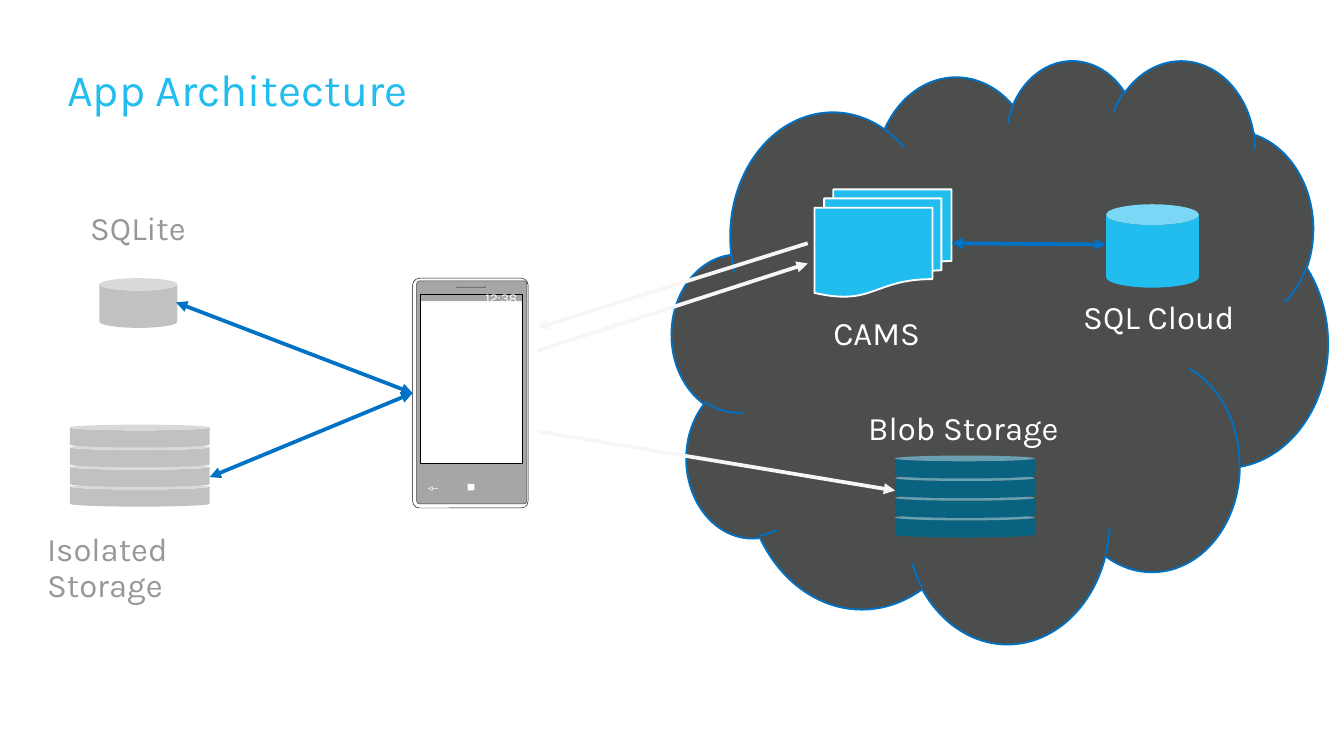
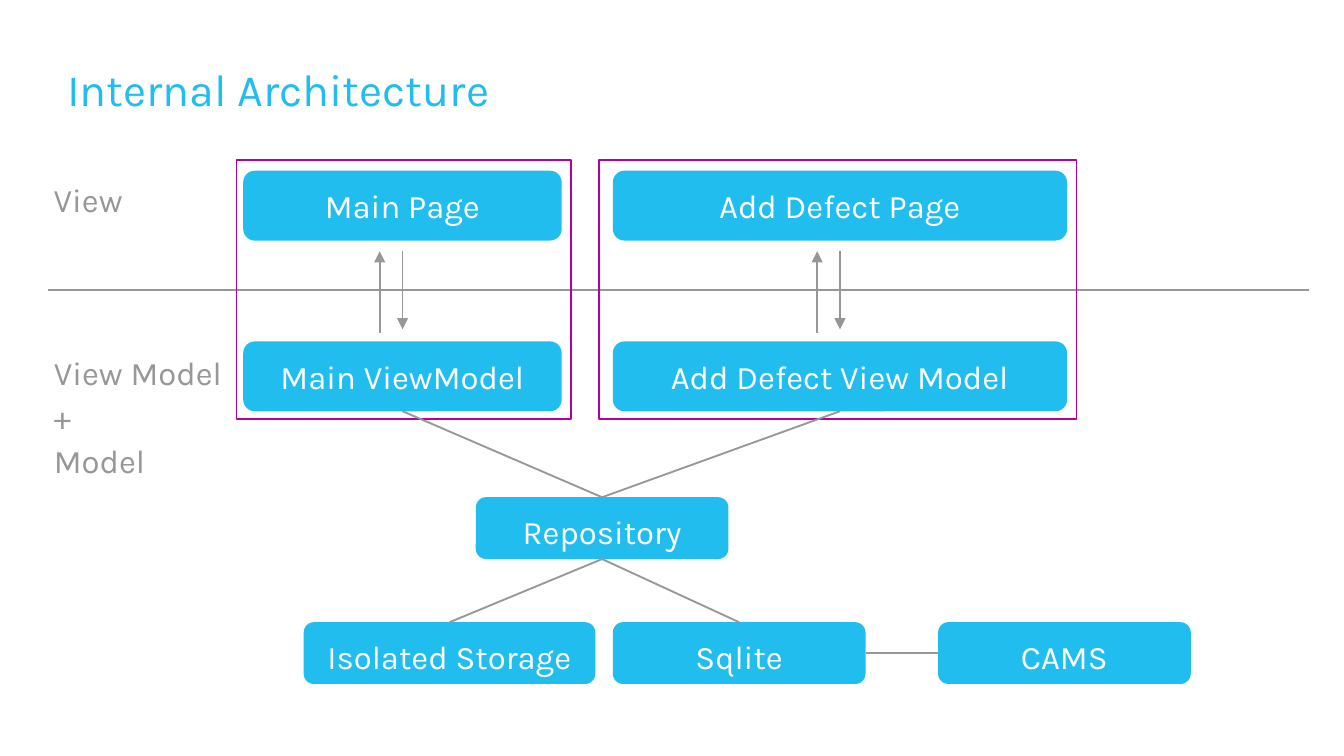
from dataclasses import dataclass
from typing import Optional

from lxml import etree
from pptx import Presentation
from pptx.dml.color import RGBColor
from pptx.enum.shapes import MSO_CONNECTOR, MSO_SHAPE
from pptx.enum.text import MSO_ANCHOR, PP_ALIGN
from pptx.oxml.ns import qn
from pptx.shapes.autoshape import Shape
from pptx.shapes.connector import Connector
from pptx.slide import Slide
from pptx.util import Inches, Pt

SLIDE_WIDTH = Inches(10)
SLIDE_HEIGHT = SLIDE_WIDTH * 9 // 16

FONT = "Karla"
CYAN, TEAL, BLUE, PURPLE = "22BDEF", "09627F", "0072C6", "B4009E"
WHITE, PALE, SILVER, GRAY, CHARCOAL = "FFFFFF", "F6F6F7", "C1C1C0", "979796", "4C4D4D"
BLACK, CASE_EDGE, CASE = "000000", "404040", "A6A6A6"

RECT, ROUND, CAN = MSO_SHAPE.RECTANGLE, MSO_SHAPE.ROUNDED_RECTANGLE, MSO_SHAPE.CAN
CLOUD, LEFT_ARROW = MSO_SHAPE.CLOUD, MSO_SHAPE.LEFT_ARROW
DOCUMENTS = MSO_SHAPE.FLOWCHART_MULTIDOCUMENT
STRAIGHT = MSO_CONNECTOR.STRAIGHT
TOP, MIDDLE = MSO_ANCHOR.TOP, MSO_ANCHOR.MIDDLE
LEFT, CENTER, RIGHT = PP_ALIGN.LEFT, PP_ALIGN.CENTER, PP_ALIGN.RIGHT
SIDE_TOP, SIDE_LEFT, SIDE_BOTTOM, SIDE_RIGHT = range(4)

LABEL_SIZE = 17.6
LABEL_INSETS = (0.15, 0.12)
STACK_CANS = 4
CAN_WIDTH, CAN_HEIGHT, CAN_PITCH = 1.04, 0.17, 0.44 / (STACK_CANS - 1)
PAGE_TOP, MODEL_TOP, PANEL_BOX_HEIGHT = 1.27, 2.54, 0.52
REPO_TOP, STORE_TOP, STORE_HEIGHT = 3.7, 4.63, 0.46


@dataclass
class Box:
    kind: int
    left: float
    top: float
    width: float
    height: float
    fill: Optional[str] = None
    line: Optional[str] = None
    weight: float = 1
    adjust: tuple[float, ...] = ()


@dataclass
class Label:
    text: str
    left: float
    top: float
    width: float
    color: str
    height: float = 0.5


@dataclass
class Arrow:
    start: tuple[float, float]
    end: tuple[float, float]
    color: str = GRAY
    weight: float = 1
    head: bool = False
    tail: bool = False


@dataclass
class Panel:
    """A page above its view model, inside a frame."""
    frame_left: float
    frame_width: float
    left: float
    width: float
    page: str
    model: str


def rgb(color: str) -> RGBColor:
    return RGBColor.from_string(color)


def write(s: Shape, text: str, color: str, size: float = LABEL_SIZE,
          align: int = LEFT, spacing: float = 0.9, after: float = 0,
          insets: tuple[float, float] = LABEL_INSETS, anchor: int = TOP) -> None:
    tf = s.text_frame
    side, edge = map(Inches, insets)
    frame_format = {"word_wrap": True, "vertical_anchor": anchor,
                    "margin_left": side, "margin_right": side,
                    "margin_top": edge, "margin_bottom": edge}
    for name, value in frame_format.items():
        setattr(tf, name, value)
    for i, line in enumerate(text.split("\n")):
        p = tf.paragraphs[0] if i == 0 else tf.add_paragraph()
        p.alignment, p.line_spacing, p.space_after = align, spacing, Pt(after)
        r = p.add_run()
        r.text = line
        r.font.name, r.font.size = FONT, Pt(size)
        r.font.color.rgb = rgb(color)


def add_box(slide: Slide, box: Box) -> Shape:
    s = slide.shapes.add_shape(box.kind, Inches(box.left), Inches(box.top),
                               Inches(box.width), Inches(box.height))
    s.shadow.inherit = False
    for i, value in enumerate(box.adjust):
        s.adjustments[i] = value
    if box.fill:
        s.fill.solid()
        s.fill.fore_color.rgb = rgb(box.fill)
    else:
        s.fill.background()
    if box.line:
        s.line.color.rgb = rgb(box.line)
        s.line.width = Pt(box.weight)
    else:
        s.line.fill.background()
    return s


def add_label(slide: Slide, label: Label) -> None:
    s = slide.shapes.add_textbox(Inches(label.left), Inches(label.top),
                                 Inches(label.width), Inches(label.height))
    write(s, label.text, label.color, after=4.4)


def add_arrow(slide: Slide, arrow: Arrow) -> Connector:
    s = slide.shapes.add_connector(STRAIGHT, *map(Inches, arrow.start + arrow.end))
    s.line.color.rgb = rgb(arrow.color)
    s.line.width = Pt(arrow.weight)
    ln = s.line._get_or_add_ln()
    for tag, shown in (("a:headEnd", arrow.head), ("a:tailEnd", arrow.tail)):
        if shown:
            etree.SubElement(ln, qn(tag), type="triangle")
    etree.SubElement(s._element.spPr, qn("a:effectLst"))
    return s


def join(slide: Slide, first: Shape, first_side: int,
         second: Shape, second_side: int) -> None:
    s = add_arrow(slide, Arrow((0, 0), (0, 0)))
    s.begin_connect(first, first_side)
    s.end_connect(second, second_side)


def add_slide(prs: Presentation, title: str) -> Slide:
    slide = prs.slides.add_slide(prs.slide_layouts[6])
    s = slide.shapes.add_textbox(Inches(0.5), Inches(0.44), Inches(9), Inches(0.42))
    write(s, title, CYAN, size=24, spacing=1.05, insets=(0, 0))
    return slide


def add_can_stack(slide: Slide, left: float, top: float, color: str) -> None:
    """Stack cans from the lowest up, so that each can covers the lid below."""
    for i in reversed(range(STACK_CANS)):
        add_box(slide, Box(CAN, left, top + i * CAN_PITCH, CAN_WIDTH, CAN_HEIGHT, color))


def add_phone(slide: Slide) -> Shape:
    body = add_box(slide, Box(ROUND, 3.07, 2.07, 0.86, 1.71, WHITE, "0D0D0D", 0.25, (0.06,)))
    parts = [
        Box(ROUND, 3.1, 2.09, 0.82, 1.66, CASE, CASE_EDGE, 0.25, (0.03,)),
        Box(RECT, 3.13, 2.19, 0.76, 1.26, WHITE, BLACK, 0.25),
        Box(LEFT_ARROW, 3.19, 3.62, 0.07, 0.03, None, WHITE, 0.25, (0, 0.91)),
        Box(RECT, 3.48, 3.6, 0.05, 0.05, WHITE),
        Box(ROUND, 3.4, 2.13, 0.21, 0.01, "F2F2F2", CASE_EDGE, 0.25),
    ]
    for part in parts:
        add_box(slide, part)
    status_bar = add_box(slide, Box(RECT, 3.13, 2.19, 0.76, 0.05, BLACK))
    color = status_bar._element.spPr.find(qn("a:solidFill"))[0]
    etree.SubElement(color, qn("a:alpha"), val="35000")
    write(status_bar, "12:38", WHITE, size=7.3, align=RIGHT, spacing=1,
          insets=(0.04, 0.04), anchor=MIDDLE)
    return body


def add_node(slide: Slide, text: str, left: float, top: float,
             width: float, height: float) -> Shape:
    s = add_box(slide, Box(ROUND, left, top, width, height, CYAN))
    write(s, text, WHITE, align=CENTER)
    return s


def add_panel(slide: Slide, panel: Panel) -> Shape:
    """Draw the panel and return its view model."""
    add_box(slide, Box(RECT, panel.frame_left, 1.19, panel.frame_width, 1.93, None, PURPLE))
    add_node(slide, panel.page, panel.left, PAGE_TOP, panel.width, PANEL_BOX_HEIGHT)
    model = add_node(slide, panel.model, panel.left, MODEL_TOP, panel.width, PANEL_BOX_HEIGHT)
    x = panel.left + panel.width / 2
    add_arrow(slide, Arrow((x - 0.17, 2.48), (x - 0.17, 1.87), tail=True))
    add_arrow(slide, Arrow((x, 1.87), (x, 2.45), tail=True))
    return model


def build_app_architecture(prs: Presentation) -> None:
    slide = add_slide(prs, "App Architecture")
    add_box(slide, Box(CLOUD, 5, 0.44, 4.88, 4.34, CHARCOAL, BLUE))
    add_box(slide, Box(CAN, 8.23, 1.52, 0.69, 0.62, CYAN))
    add_can_stack(slide, 6.66, 3.39, TEAL)
    phone = add_phone(slide)
    add_box(slide, Box(DOCUMENTS, 6.06, 1.41, 1.02, 0.8, CYAN, WHITE))
    add_box(slide, Box(CAN, 0.74, 2.07, 0.58, 0.37, SILVER))
    add_can_stack(slide, 0.52, 3.16, SILVER)

    for label in (
        Label("SQL Cloud", 7.91, 2.12, 1.48, WHITE),
        Label("Blob Storage", 6.31, 2.95, 2.03, WHITE),
        Label("CAMS", 6.05, 2.24, 1.48, WHITE),
        Label("SQLite", 0.52, 1.46, 1.48, GRAY),
        Label("Isolated Storage", 0.2, 3.85, 2.11, GRAY),
    ):
        add_label(slide, label)

    for start, end in (((6.01, 1.81), (4, 2.44)),
                       ((4, 2.61), (6.01, 1.96)),
                       ((4, 3.21), (6.66, 3.65))):
        add_arrow(slide, Arrow(start, end, PALE, 2, tail=True))
    phone_side = (3.07, 2.92)
    for store_side in ((1.31, 2.25), (1.56, 3.55)):
        s = add_arrow(slide, Arrow(store_side, phone_side, BLUE, 2, head=True, tail=True))
        s.end_connect(phone, SIDE_LEFT)
    add_arrow(slide, Arrow((7.08, 1.81), (8.23, 1.82), BLUE, 2, head=True, tail=True))


def build_internal_architecture(prs: Presentation) -> None:
    slide = add_slide(prs, "Internal Architecture")
    add_arrow(slide, Arrow((0.36, 2.16), (9.74, 2.16)))
    add_label(slide, Label("View", 0.25, 1.25, 1.04, GRAY))
    add_label(slide, Label("View Model\n+\nModel", 0.25, 2.54, 1.62, GRAY, 1.15))

    panels = (
        Panel(1.76, 2.49, 1.81, 2.37, "Main Page", "Main ViewModel"),
        Panel(4.46, 3.55, 4.56, 3.38, "Add Defect Page", "Add Defect View Model"),
    )
    models = [add_panel(slide, panel) for panel in panels]
    repository = add_node(slide, "Repository", 3.54, REPO_TOP, 1.88, STORE_HEIGHT)
    isolated, sqlite, service = [
        add_node(slide, text, left, STORE_TOP, width, STORE_HEIGHT)
        for text, left, width in (("Isolated Storage", 2.26, 2.17),
                                  ("Sqlite", 4.56, 1.88),
                                  ("CAMS", 6.98, 1.88))
    ]
    for model in models:
        join(slide, model, SIDE_BOTTOM, repository, SIDE_TOP)
    for store in (isolated, sqlite):
        join(slide, repository, SIDE_BOTTOM, store, SIDE_TOP)
    join(slide, service, SIDE_LEFT, sqlite, SIDE_RIGHT)


def main() -> None:
    prs = Presentation()
    prs.slide_width, prs.slide_height = SLIDE_WIDTH, SLIDE_HEIGHT
    build_app_architecture(prs)
    build_internal_architecture(prs)
    prs.save("out.pptx")


if __name__ == "__main__":
    main()
